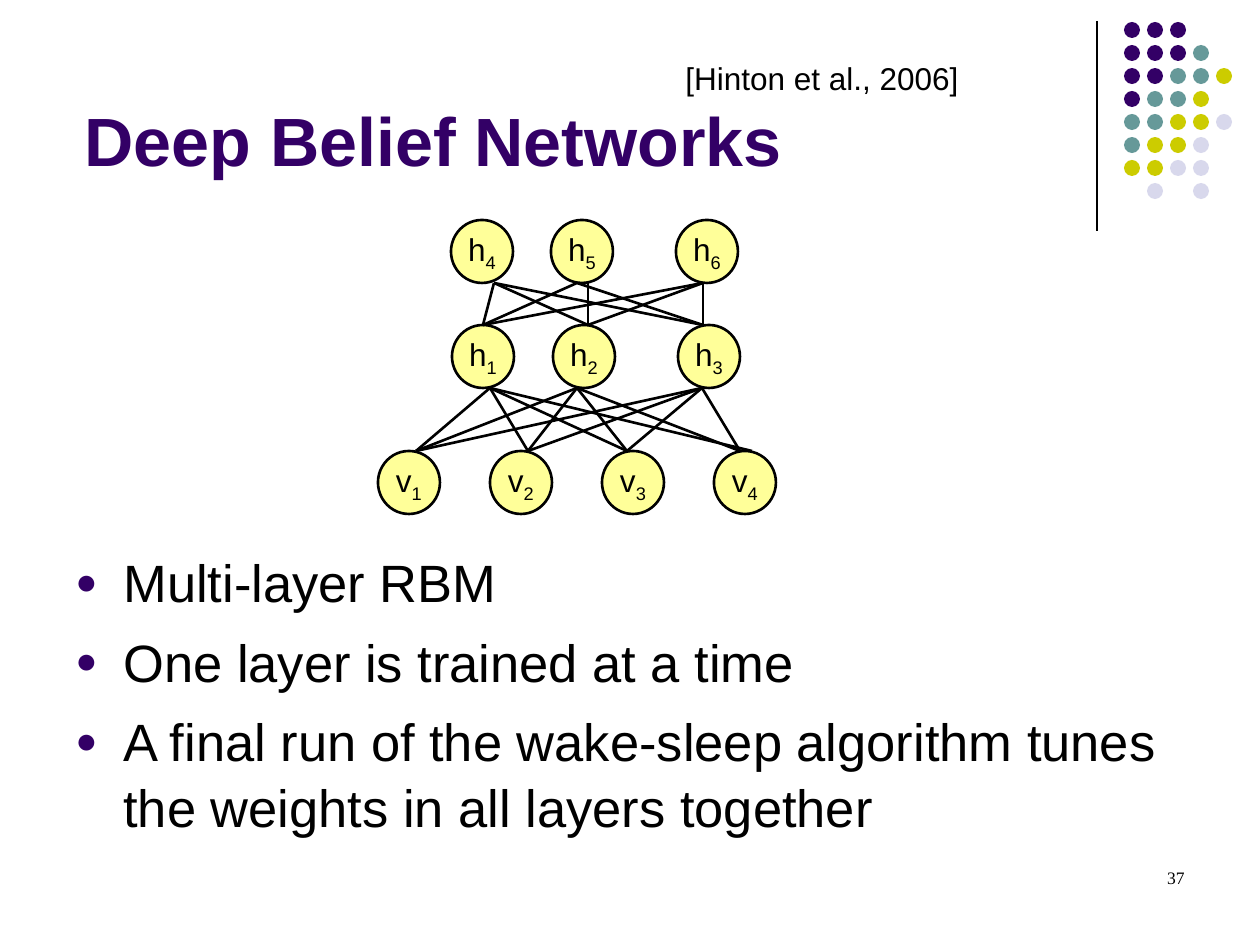
from dataclasses import dataclass
from itertools import product

from lxml.etree import SubElement
from pptx import Presentation
from pptx.dml.color import RGBColor
from pptx.enum.shapes import MSO_CONNECTOR, MSO_SHAPE
from pptx.enum.text import MSO_ANCHOR, PP_ALIGN
from pptx.oxml.ns import qn
from pptx.util import Pt

EMU_PER_PX = 914400 / 126


@dataclass(frozen=True)
class Theme:
    purple: str = "330066"
    teal: str = "669999"
    olive: str = "CCCC00"
    lavender: str = "D8D8EC"
    node: str = "FFFF99"
    black: str = "000000"
    font: str = "Arial"
    number_font: str = "Times New Roman"
    title_size: int = 39
    body_size: int = 30
    label_size: int = 18
    number_size: int = 10


THEME = Theme()
NODE_WIDTH, NODE_HEIGHT = 62, 63
TOP_Y, HIDDEN_Y, VISIBLE_Y = 220, 325, 451

DOT_ROWS = ["PPP", "PPPT", "PPTTO", "PTTO", "TTOOL", "TOOL", "OOLL", " L L"]
DOT_COLORS = {"P": THEME.purple, "T": THEME.teal, "O": THEME.olive, "L": THEME.lavender}
DOT_SIZE, DOT_STEP = 16, 23

BULLETS = [
    "Multi-layer RBM",
    "One layer is trained at a time",
    "A final run of the wake-sleep algorithm tunes the weights in all layers together",
]


def px(value):
    return round(value * EMU_PER_PX)


def rgb(color):
    return RGBColor.from_string(color)


def add_bullet(para):
    properties = para._p.get_or_add_pPr()
    properties.set("marL", str(px(48)))
    properties.set("indent", str(px(-48)))
    color = SubElement(properties, qn("a:buClr"))
    SubElement(color, qn("a:srgbClr"), val=THEME.purple)
    SubElement(properties, qn("a:buSzPct"), val="70000")
    SubElement(properties, qn("a:buFont"), typeface=THEME.font)
    SubElement(properties, qn("a:buChar"), char="●")


def write_text(frame, lines, size=THEME.label_size, color=THEME.black, font=THEME.font,
               bold=False, align=PP_ALIGN.LEFT, anchor=MSO_ANCHOR.TOP, wrap=True,
               bullet=False, gap=0, spacing=None, subscript=None):
    """Fill a text frame, one paragraph a line; subscript follows each line."""
    frame.word_wrap = wrap
    frame.vertical_anchor = anchor
    for index, line in enumerate(lines):
        para = frame.paragraphs[0] if index == 0 else frame.add_paragraph()
        para.alignment = align
        if spacing:
            para.line_spacing = spacing
        if index:
            para.space_before = Pt(gap)
        if bullet:
            add_bullet(para)
        for text in filter(None, (line, subscript)):
            span = para.add_run()
            span.text = text
            span.font.size = Pt(size)
            span.font.name = font
            span.font.bold = bold
            span.font.color.rgb = rgb(color)
            if text is subscript:
                span._r.get_or_add_rPr().set("baseline", "-25000")


def add_text_box(page, x, y, width, height, lines, **text_format):
    box = page.shapes.add_textbox(px(x), px(y), px(width), px(height))
    write_text(box.text_frame, lines, **text_format)


def add_ellipse(page, x, y, width, height, fill, outline=None):
    ellipse = page.shapes.add_shape(MSO_SHAPE.OVAL, px(x), px(y), px(width), px(height))
    ellipse.shadow.inherit = False
    ellipse.fill.solid()
    ellipse.fill.fore_color.rgb = rgb(fill)
    if outline:
        ellipse.line.color.rgb = rgb(outline)
        ellipse.line.width = Pt(1.5)
    else:
        ellipse.line.fill.background()
    return ellipse


def add_line(page, start, end, width=1.5):
    line = page.shapes.add_connector(MSO_CONNECTOR.STRAIGHT, *map(px, (*start, *end)))
    line.line.color.rgb = rgb(THEME.black)
    line.line.width = Pt(width)
    SubElement(line._element.spPr, qn("a:effectLst"))


def add_layer(page, letter, first_number, lefts, y):
    for number, x in enumerate(lefts, first_number):
        node = add_ellipse(page, x, y, NODE_WIDTH, NODE_HEIGHT, THEME.node, THEME.black)
        write_text(node.text_frame, [letter], subscript=str(number), wrap=False,
                   align=PP_ALIGN.CENTER, anchor=MSO_ANCHOR.MIDDLE)


def connect_layers(page, lower_xs, lower_y, upper_xs, upper_y, shifted):
    """Join every pair of nodes; shifted gives special ends to some index pairs."""
    for low, high in product(range(len(lower_xs)), range(len(upper_xs))):
        lower_x, upper_x = shifted.get((low, high), (lower_xs[low], upper_xs[high]))
        add_line(page, (lower_x, lower_y), (upper_x, upper_y))


def add_network(page):
    add_layer(page, "h", 1, [452, 553, 678], HIDDEN_Y)
    add_layer(page, "v", 1, [378 + 112 * column for column in range(4)], VISIBLE_Y)
    connect_layers(page, [416, 528, 627, 740], VISIBLE_Y,
                   [490, 577, 702], HIDDEN_Y + NODE_HEIGHT, {(3, 0): (752, 490)})
    add_layer(page, "h", 4, [451, 551, 676], TOP_Y)
    connect_layers(page, [483, 588, 703], HIDDEN_Y,
                   [494, 577, 703], TOP_Y + NODE_HEIGHT, {(1, 1): (588, 588)})


def add_corner_dots(page):
    add_line(page, (1097, 21), (1097, 231), width=0.75)
    for row, codes in enumerate(DOT_ROWS):
        for column, code in enumerate(codes):
            if code in DOT_COLORS:
                add_ellipse(page, 1124 + column * DOT_STEP, 22 + row * DOT_STEP,
                            DOT_SIZE, DOT_SIZE, DOT_COLORS[code])


def main():
    deck = Presentation()
    deck.slide_width, deck.slide_height = px(1260), px(945)
    page = deck.slides.add_slide(deck.slide_layouts[6])
    add_corner_dots(page)
    add_text_box(page, 72, 25, 1022, 161, ["Deep Belief Networks"], size=THEME.title_size,
                 color=THEME.purple, bold=True, anchor=MSO_ANCHOR.BOTTOM)
    add_text_box(page, 63, 541, 1134, 309, BULLETS, size=THEME.body_size,
                 bullet=True, gap=7.5, spacing=1.05)
    add_text_box(page, 673, 53, 299, 50, ["[Hinton et al., 2006]"], wrap=False)
    add_network(page)
    add_text_box(page, 903, 861, 294, 63, ["37"], size=THEME.number_size,
                 font=THEME.number_font, align=PP_ALIGN.RIGHT)
    deck.save("out.pptx")


if __name__ == "__main__":
    main()
